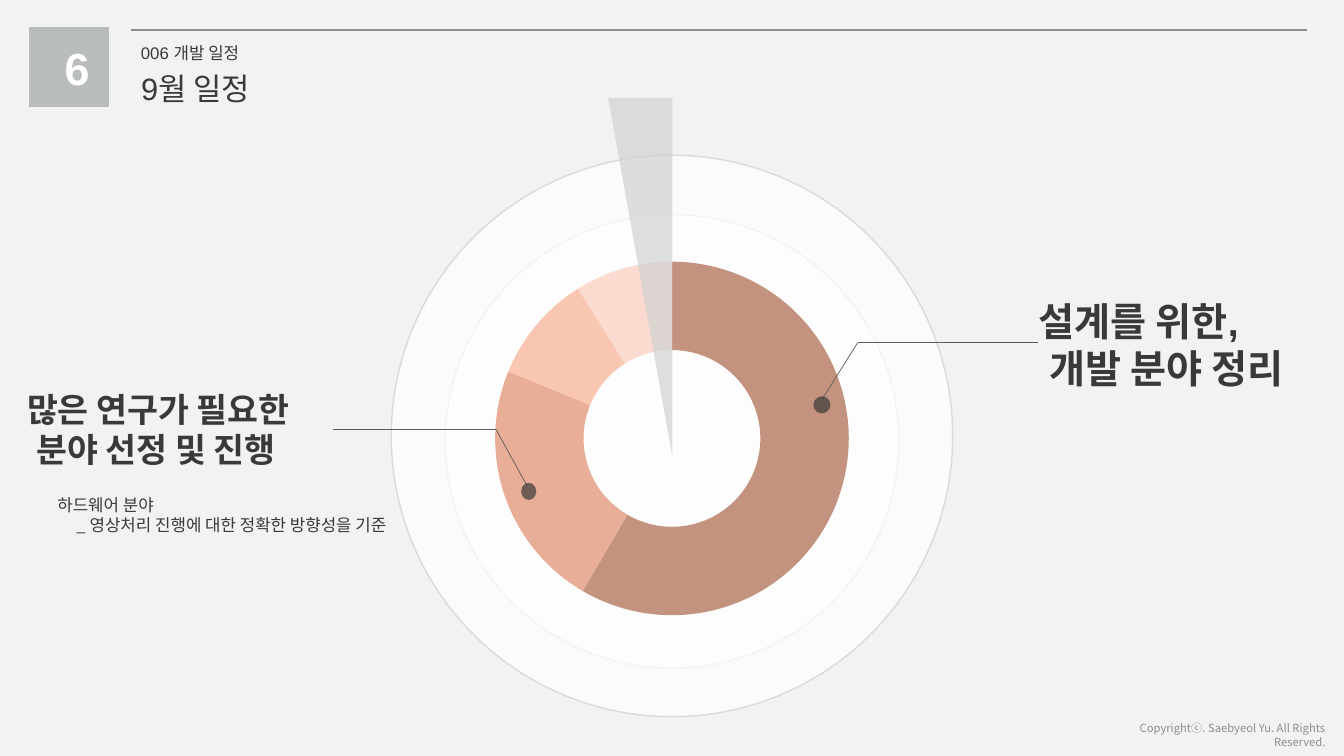
from lxml import etree
from pptx import Presentation
from pptx.chart.data import CategoryChartData
from pptx.dml.color import RGBColor
from pptx.enum.chart import XL_CHART_TYPE
from pptx.enum.shapes import MSO_CONNECTOR, MSO_SHAPE
from pptx.enum.text import MSO_ANCHOR, MSO_AUTO_SIZE, PP_ALIGN
from pptx.oxml.ns import qn
from pptx.util import Emu, Inches, Pt

DOUGHNUT = XL_CHART_TYPE.DOUGHNUT
STRAIGHT = MSO_CONNECTOR.STRAIGHT
OVAL, RECTANGLE, TRIANGLE = MSO_SHAPE.OVAL, MSO_SHAPE.RECTANGLE, MSO_SHAPE.ISOSCELES_TRIANGLE
TOP = MSO_ANCHOR.TOP
NO_AUTOFIT = MSO_AUTO_SIZE.NONE
LEFT, CENTER, RIGHT = PP_ALIGN.LEFT, PP_ALIGN.CENTER, PP_ALIGN.RIGHT

WIDTH, HEIGHT = Inches(13.33), Inches(7.5)
COLUMNS, ROWS = 160, 90
INK, GREY, WHITE = "3A3838", "898F8D", "FFFFFF"
SANS, KOREAN = "Arial", "Noto Sans CJK KR"
SHARES = [("1", 59, "C4937F"), ("2", 23, "E8AE97"), ("3", 10, "F9C6B2"), ("4", 9, "FBDACF")]


def color(hex_code):
    return RGBColor.from_string(hex_code)


def cols(count):
    return Emu(int(WIDTH * count / COLUMNS))


def rows(count):
    return Emu(int(HEIGHT * count / ROWS))


def box(left, top, width, height):
    """Turn grid columns and rows into a position and a size."""
    return cols(left), rows(top), cols(width), rows(height)


def around(x, y, width, height):
    """Grid box of the given size, centred on a point."""
    return x - width / 2, y - height / 2, width, height


def add_figure(shapes, kind, area, fill, opacity=100, outline=None):
    figure = shapes.add_shape(kind, *box(*area))
    figure.shadow.inherit = False
    figure.fill.solid()
    figure.fill.fore_color.rgb = color(fill)
    if opacity < 100:
        fill_color = figure.fill._xPr.find(qn("a:solidFill"))[0]
        etree.SubElement(fill_color, qn("a:alpha"), val=str(opacity * 1000))
    if outline:
        figure.line.color.rgb = color(outline)
        figure.line.width = Pt(1)
    else:
        figure.line.fill.background()
    return figure


def add_line(shapes, start, end, stroke, weight):
    line = shapes.add_connector(STRAIGHT, cols(start[0]), rows(start[1]), cols(end[0]), rows(end[1]))
    line.line.color.rgb = color(stroke)
    line.line.width = Pt(weight)
    etree.SubElement(line._element.spPr, qn("a:effectLst"))


def format_text(frame, text, size, ink=INK, font=SANS, bold=False, align=LEFT, indent=0):
    """Fill a frame; indent, in inches, moves the lines after the first."""
    frame.text = text
    frame.word_wrap = True
    frame.auto_size = NO_AUTOFIT
    frame.vertical_anchor = TOP
    for index, paragraph in enumerate(frame.paragraphs):
        paragraph.alignment = align
        if index and indent:
            paragraph._p.get_or_add_pPr().set("marL", str(Inches(indent)))
        for run in paragraph.runs:
            run.font.size = Pt(size)
            run.font.bold = bold
            run.font.color.rgb = color(ink)
            run.font.name = font
            etree.SubElement(run._r.get_or_add_rPr(), qn("a:ea"), typeface=KOREAN)


def add_text(slide, area, text, size, **style):
    format_text(slide.shapes.add_textbox(*box(*area)).text_frame, text, size, **style)


def set_title(slide, area, text, size):
    title = slide.shapes.title
    title.left, title.top, title.width, title.height = box(*area)
    format_text(title.text_frame, text, size)
    title.text_frame.word_wrap = False


def add_callout(slide, start, bend, end, dot):
    """Bent leader line from a text to a dot on the ring."""
    group = slide.shapes.add_group_shape()
    add_line(group.shapes, start, bend, "5D5B5B", 0.5)
    add_line(group.shapes, bend, end, "5D5B5B", 0.5)
    add_figure(group.shapes, OVAL, around(*dot), INK, 70)


def add_ring(slide, area):
    data = CategoryChartData()
    data.categories = [name for name, _, _ in SHARES]
    data.add_series("Series 1", [value for _, value, _ in SHARES])
    chart = slide.shapes.add_chart(DOUGHNUT, *box(*area), data).chart
    chart.has_legend = False
    chart.has_title = False
    chart.font.size = Pt(10)
    chart.font.name = SANS
    chart.font.color.rgb = color(INK)
    plot = chart.plots[0]
    plot.vary_by_categories = True
    plot._element.find(qn("c:holeSize")).set("val", "75")
    for index, (_, _, fill) in enumerate(SHARES):
        slice_format = plot.series[0].points[index].format
        slice_format.fill.solid()
        slice_format.fill.fore_color.rgb = color(fill)
        slice_format.line.fill.background()


def main():
    deck = Presentation()
    deck.slide_width, deck.slide_height = WIDTH, HEIGHT
    slide = deck.slides.add_slide(deck.slide_layouts[5])
    slide.background.fill.solid()
    slide.background.fill.fore_color.rgb = color("F2F2F2")

    for middle, diameter in ((52.56, 54), (51.9, 66.84)):
        add_figure(slide.shapes, OVAL, around(80, middle, diameter, diameter), WHITE, 70, "DADADA")
    add_ring(slide, (46, 29.5, 68, 45.4))
    wedge = add_figure(slide.shapes, TRIANGLE, (72.4, 11.65, 7.65, 42.8), "D0D2D1", 70)
    wedge.adjustments[0] = 0
    wedge.rotation = 180

    add_text(slide, (122.5, 34.8, 34.6, 12.5), "설계를 위한,\n개발 분야 정리", 28, bold=True, indent=0.11)
    add_text(slide, (2.04, 45.7, 37, 10.9), "많은 연구가 필요한\n분야 선정 및 진행", 24, bold=True, indent=0.09)
    add_text(slide, (5.64, 58.3, 48, 6), "하드웨어 분야\n_ 영상처리 진행에 대한 정확한 방향성을 기준",
             12, font=KOREAN, indent=0.19)
    add_callout(slide, (39.6, 51.1), (59.04, 51.1), (62.75, 57.85), (62.94, 58.5, 1.8, 2.04))
    add_callout(slide, (123.6, 40.8), (102.1, 40.8), (97.9, 47.5), (97.85, 48.2, 2.04, 2.04))

    add_line(slide.shapes, (15.6, 3.6), (155.65, 3.6), GREY, 1.5)
    add_figure(slide.shapes, RECTANGLE, (3.48, 3.24, 9.5, 9.5), "B8BCBB")
    add_text(slide, (6.5, 4.2, 3.36, 7.7), "6", 32, ink=WHITE, bold=True, align=CENTER)
    add_text(slide, (15.6, 4.55, 20, 3.6), "006 개발 일정", 12)
    set_title(slide, (15.6, 7.7, 16.7, 5.6), "9월 일정", 22)
    add_text(slide, (129.6, 85.3, 29.4, 2.9), "Copyrightⓒ. Saebyeol Yu. All Rights Reserved.",
             8, ink=GREY, font=KOREAN, align=RIGHT)
    deck.save("out.pptx")


if __name__ == "__main__":
    main()
